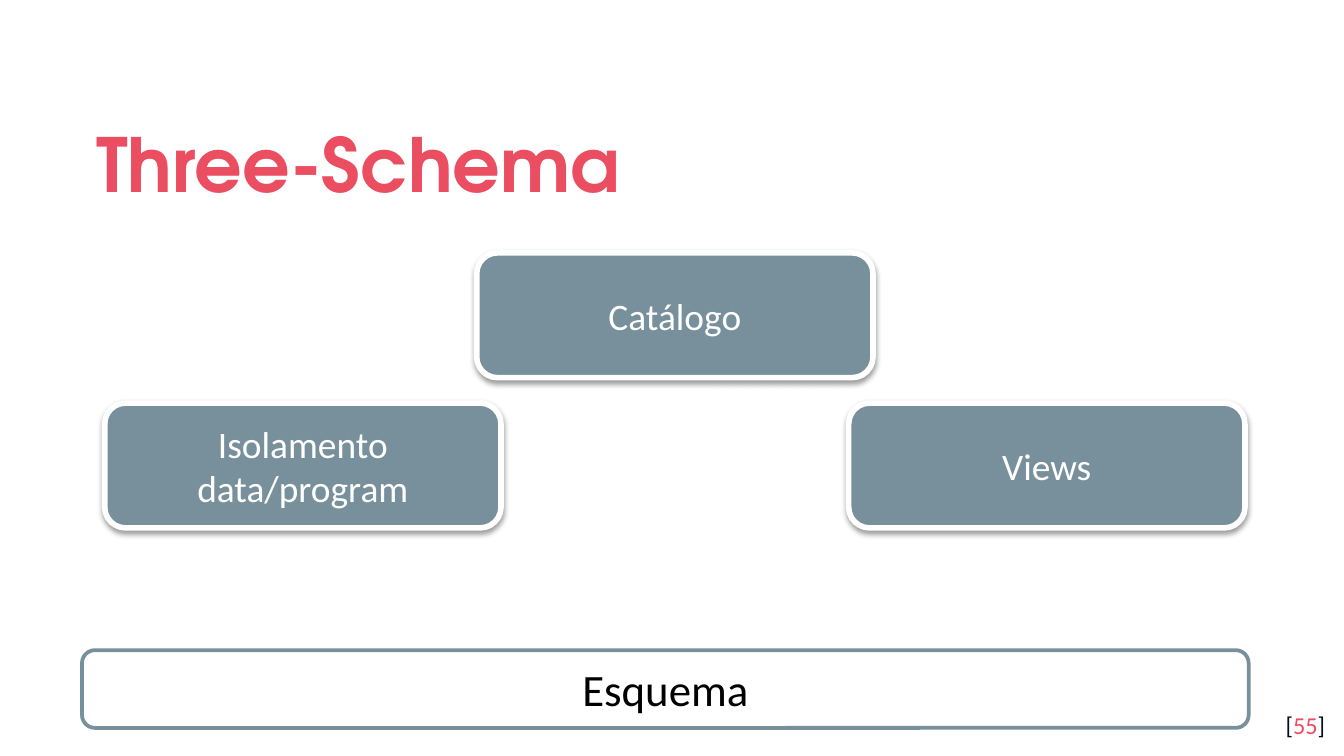
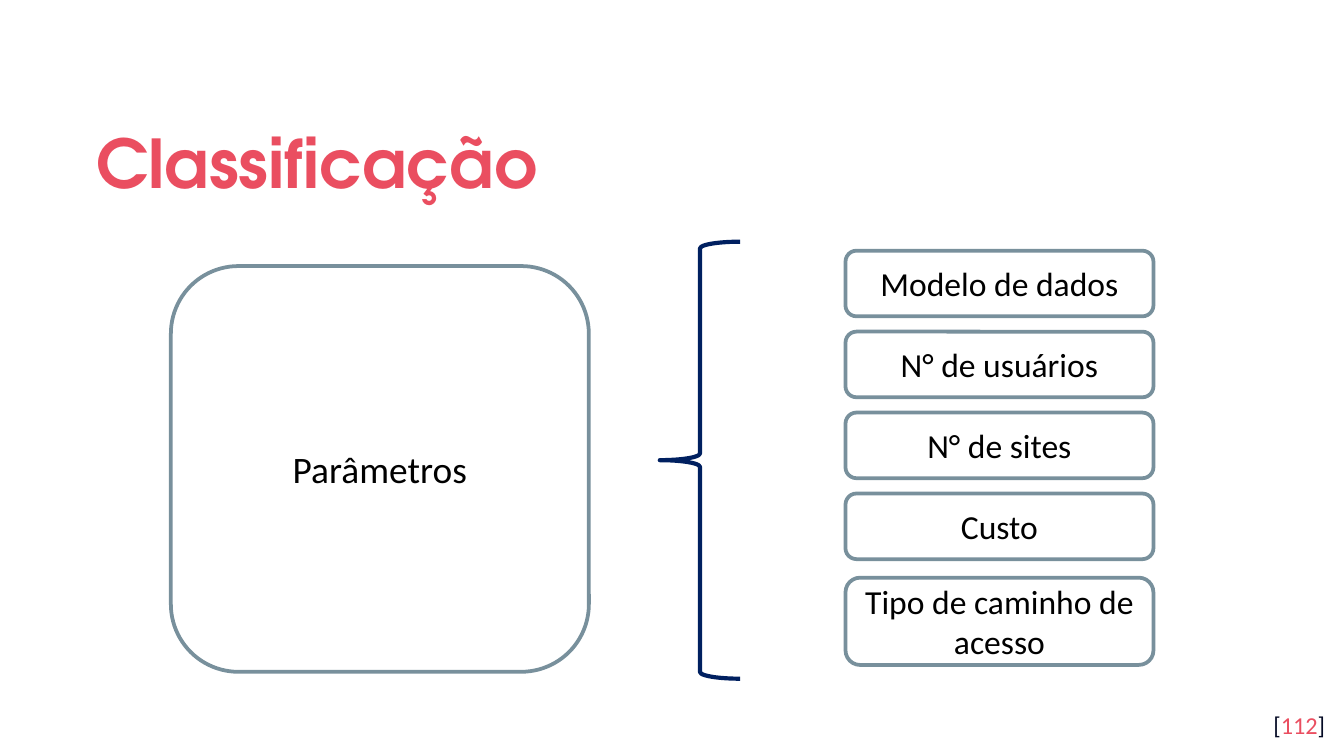
"""Builds two slides on database schemas and the classification of database systems."""
import pptx
import pptx.dml.color
import pptx.enum.shapes
import pptx.enum.text
import pptx.oxml
import pptx.oxml.ns
import pptx.util

Cm, Pt = pptx.util.Cm, pptx.util.Pt
SHAPE = pptx.enum.shapes.MSO_SHAPE
ALIGN = pptx.enum.text.PP_ALIGN
MIDDLE = pptx.enum.text.MSO_ANCHOR.MIDDLE
RED, NAVY, INK, SLATE, WHITE, BLACK = "EA4E60", "002060", "040A24", "78909C", "FFFFFF", "000000"
SHADOW = (
    f'<a:effectLst {pptx.oxml.ns.nsdecls("a")}>'
    f'<a:outerShdw blurRad="{Pt(3.1)}" dist="{Pt(1.6)}" dir="5400000" rotWithShape="0">'
    '<a:srgbClr val="000000"><a:alpha val="38000"/></a:srgbClr>'
    '</a:outerShdw></a:effectLst>'
)


def paint(fill, color):
    fill.solid()
    fill.fore_color.rgb = pptx.dml.color.RGBColor.from_string(color)


def write(tf, text, size=20, color=BLACK, font="Calibri", bold=False, align=ALIGN.CENTER):
    tf.word_wrap = True
    p = tf.paragraphs[0]
    p.alignment = align
    r = p.add_run()
    r.text = text
    r.font.size = Pt(size)
    r.font.name = font
    r.font.bold = bold
    paint(r.font.fill, color)


prs = pptx.Presentation()
prs.slide_width, prs.slide_height = Cm(25.4), Cm(14.29)

slides = []
for title, size, number in [("Three-Schema", 40, "55"), ("Classificação", 36, "112")]:
    s = prs.slides.add_slide(prs.slide_layouts[5])
    slides.append(s)
    paint(s.background.fill, WHITE)

    sp = s.shapes.title
    sp.left, sp.top, sp.width, sp.height = Cm(1.57), Cm(1.78), Cm(22.28), Cm(2.34)
    tf = sp.text_frame
    tf.auto_size = pptx.enum.text.MSO_AUTO_SIZE.NONE
    tf.vertical_anchor = MIDDLE
    tf.margin_left = tf.margin_right = tf.margin_top = tf.margin_bottom = Cm(0.25)
    write(tf, title, size=size, color=RED, font="TeX Gyre Adventor", bold=True, align=ALIGN.LEFT)
    tf.paragraphs[0].line_spacing = 1.15

    tf = s.shapes.add_textbox(Cm(23.77), Cm(13.18), Cm(1.52), Cm(1.09)).text_frame
    tf.margin_left = 0
    tf.margin_right = tf.margin_top = tf.margin_bottom = Cm(0.25)
    for text, color in [("[", INK), (number, RED), ("]", INK)]:
        write(tf, text, size=13, color=color, align=ALIGN.RIGHT)

schema, classes = slides
params = classes.shapes.add_group_shape()

boxes = [
    (schema, "Esquema", 24, 1.55, 12.29, 22.05, 1.47),
    (classes, "Parâmetros", 20, 3.23, 5.03, 7.9, 7.67),
    (params, "Tipo de caminho de acesso", 18, 15.98, 10.92, 5.82, 1.65),
]
for i, text in enumerate(["Modelo de dados", "N° de usuários", "N° de sites", "Custo"]):
    boxes.append((params, text, 18, 15.98, 4.74 + 1.53 * i, 5.82, 1.24))
for i, text in enumerate(["Isolamento data/program", "Catálogo", "Views"]):
    top = 4.78 if i == 1 else 7.62
    boxes.append((schema, text, 20, 1.98 + 7.03 * i, top, 7.49, 2.36))

cards = ("Isolamento data/program", "Catálogo", "Views")
for parent, text, size, *place in boxes:
    card = text in cards
    sp = parent.shapes.add_shape(SHAPE.ROUNDED_RECTANGLE, *map(Cm, place))
    sp.shadow.inherit = False
    paint(sp.fill, SLATE if card else WHITE)
    paint(sp.line.fill, WHITE if card else SLATE)
    sp.line.width = Pt(3 if card else 2)
    sp.text_frame.vertical_anchor = MIDDLE
    write(sp.text_frame, text, size=size, color=WHITE if card else BLACK)
    if card:
        spPr = sp.element.spPr
        spPr.replace(spPr.find(pptx.oxml.ns.qn("a:effectLst")), pptx.oxml.parse_xml(SHADOW))

sp = classes.shapes.add_shape(SHAPE.LEFT_BRACE, Cm(12.47), Cm(4.57), Cm(1.52), Cm(8.26))
sp.shadow.inherit = False
sp.fill.background()
paint(sp.line.fill, NAVY)
sp.line.width = Pt(2.25)

prs.save("out.pptx")
